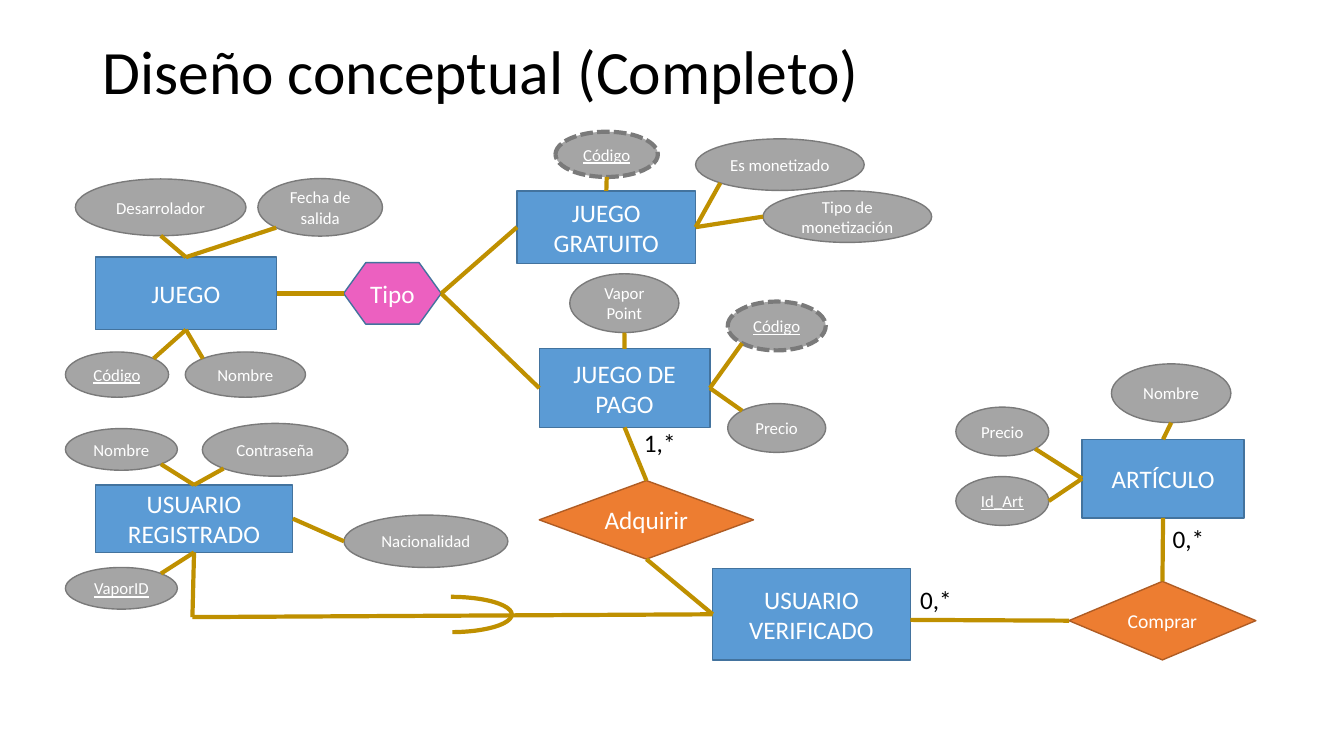
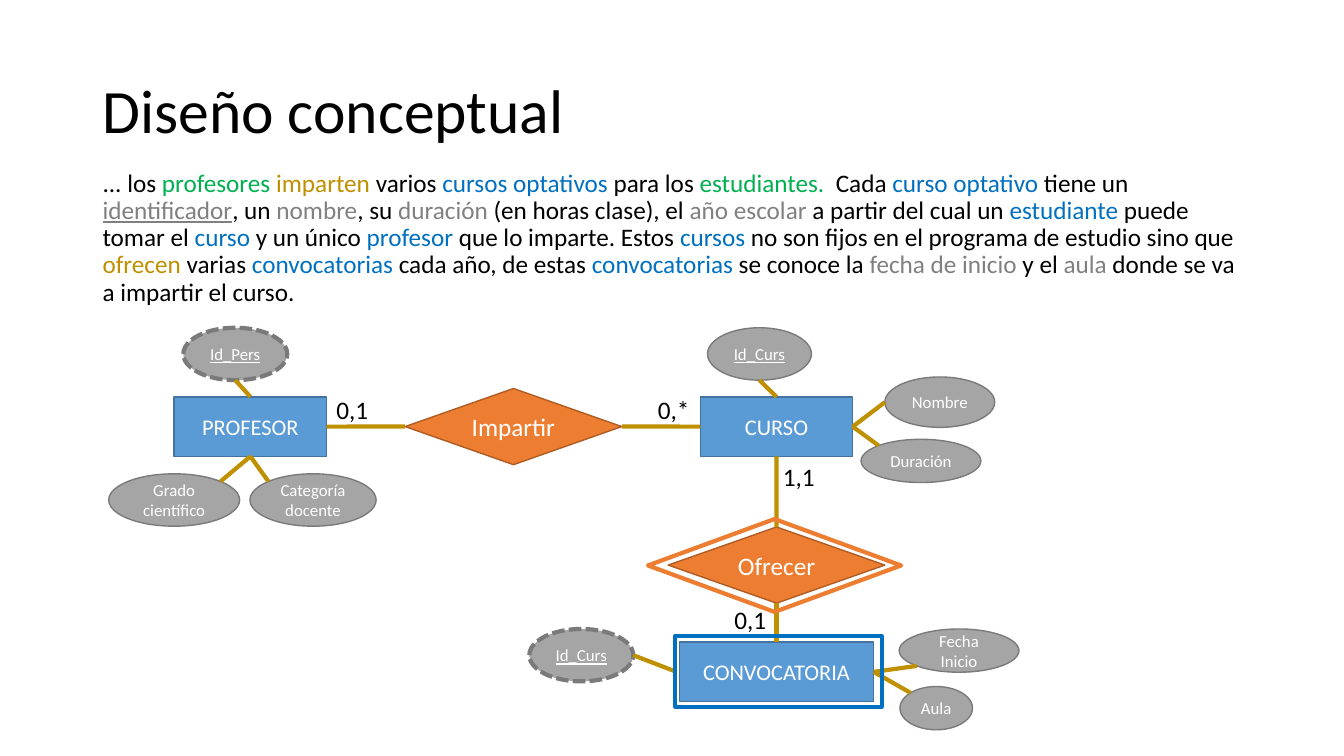
from collections import namedtuple

from lxml.etree import SubElement
from pptx import Presentation
from pptx.dml.color import RGBColor
from pptx.enum.dml import MSO_LINE
from pptx.enum.shapes import MSO_CONNECTOR, MSO_SHAPE
from pptx.enum.text import MSO_ANCHOR, MSO_AUTO_SIZE, PP_ALIGN
from pptx.oxml.ns import qn
from pptx.util import Cm, Pt

FONT = "Calibri"
BLACK, WHITE = "000000", "FFFFFF"
GREEN, GOLD, BLUE, GREY = "00B050", "BF9000", "0070C0", "808080"
ORANGE = "ED7D31"
LEFT, WIDTH = 2.33, 29.21

Style = namedtuple("Style", "preset fill line size underline dashed", defaults=(False, False))
ENTITY = Style(MSO_SHAPE.RECTANGLE, "5B9BD5", "43739E", 18)
RELATION = Style(MSO_SHAPE.DIAMOND, ORANGE, "AF5C24", 18)
ATTRIBUTE = Style(MSO_SHAPE.OVAL, "A5A5A5", "7A7A7A", 12)
KEY = ATTRIBUTE._replace(underline=True)
WEAK_KEY = KEY._replace(dashed=True)
CHOICE = Style(MSO_SHAPE.HEXAGON, "EC60C0", "43739E", 18)
SMALL_ENTITY = ENTITY._replace(size=16)
SMALL_RELATION = RELATION._replace(size=14)

NEAR, FAR = 0.1464, 0.8536
ANCHORS = {
    "top": (0.5, 0), "left": (0, 0.5), "bottom": (0.5, 1), "right": (1, 0.5),
    "topleft": (NEAR, NEAR), "bottomleft": (NEAR, FAR),
    "bottomright": (FAR, FAR), "topright": (FAR, NEAR),
}
FOUR_SITES = ["top", "left", "bottom", "right"]
SITES = {
    MSO_SHAPE.RECTANGLE: FOUR_SITES,
    MSO_SHAPE.DIAMOND: FOUR_SITES,
    MSO_SHAPE.OVAL: ["top", "topleft", "left", "bottomleft",
                     "bottom", "bottomright", "right", "topright"],
    MSO_SHAPE.HEXAGON: ["right", "bottomright", "bottomleft", "left", "topleft", "topright"],
}

GAME_NODES = {
    "juego": (ENTITY, "JUEGO", 2.4, 6.48, 4.57, 1.83),
    "juego_codigo": (KEY, "Código", 1.65, 8.87, 2.6, 1.14),
    "juego_nombre": (ATTRIBUTE, "Nombre", 4.67, 8.87, 3.03, 1.14),
    "desarrolador": (ATTRIBUTE, "Desarrolador", 1.9, 4.51, 4.3, 1.43),
    "fecha": (ATTRIBUTE, "Fecha de salida", 6.5, 4.5, 3.14, 1.45),
    "gratuito": (ENTITY, "JUEGO GRATUITO", 13.03, 4.81, 4.5, 1.83),
    "gratuito_codigo": (WEAK_KEY, "Código", 14, 3.32, 2.58, 1.14),
    "tipo": (CHOICE, "Tipo", 8.66, 6.62, 2.46, 1.55),
    "comprar": (SMALL_RELATION, "Comprar", 26.94, 14.65, 4.71, 1.98),
    "articulo": (ENTITY, "ARTÍCULO", 27.27, 11.07, 4.08, 1.98),
    "id_art": (KEY, "Id_Art", 24.09, 12.01, 2.34, 1.23),
    "articulo_precio": (ATTRIBUTE, "Precio", 24.09, 10.26, 2.34, 1.23),
    "articulo_nombre": (ATTRIBUTE, "Nombre", 28.01, 9.17, 3.01, 1.48),
    "monetizacion": (ATTRIBUTE, "Tipo de monetización", 19.23, 4.81, 4.25, 1.3),
    "monetizado": (ATTRIBUTE, "Es monetizado", 17.53, 3.5, 4.25, 1.3),
    "verificado": (ENTITY, "USUARIO VERIFICADO", 17.96, 14.33, 4.98, 2.3),
    "registrado": (ENTITY, "USUARIO REGISTRADO", 2.4, 12.22, 4.98, 1.7),
    "usuario_id": (KEY, "VaporID", 1.65, 14.3, 2.82, 1.05),
    "usuario_nombre": (ATTRIBUTE, "Nombre", 1.65, 10.8, 2.82, 1.05),
    "nacionalidad": (ATTRIBUTE, "Nacionalidad", 8.67, 12.98, 4.13, 1.32),
    "clave": (ATTRIBUTE, "Contraseña", 5.1, 10.67, 3.67, 1.33),
    "pago": (ENTITY, "JUEGO DE PAGO", 13.59, 8.79, 4.3, 1.98),
    "pago_codigo": (WEAK_KEY, "Código", 18.34, 7.6, 2.47, 1.23),
    "pago_precio": (ATTRIBUTE, "Precio", 18.34, 10.17, 2.47, 1.23),
    "puntos": (ATTRIBUTE, "Vapor Point", 14.36, 6.9, 2.75, 1.48),
    "adquirir": (RELATION, "Adquirir", 13.59, 12.11, 5.4, 1.98),
}
USER_CORNER = (4.85, 15.55)
GAME_LINKS = [
    ("juego right", "tipo left"),
    ("desarrolador bottom", "juego top"),
    ("juego top", "fecha bottomleft"),
    ("juego bottom", "juego_nombre topleft"),
    ("juego_codigo topright", "juego bottom"),
    ("gratuito_codigo bottom", "gratuito top"),
    ("tipo right", "gratuito left"),
    ("pago left", "tipo right"),
    ("articulo top", "articulo_nombre bottom"),
    ("articulo left", "id_art right"),
    ("articulo_precio bottomright", "articulo left"),
    ("articulo bottom", "comprar top"),
    ("comprar left", (22.94, 15.62)),
    ("monetizacion left", "gratuito right"),
    ("gratuito right", "monetizado bottomleft"),
    ("adquirir bottom", "verificado left"),
    ("nacionalidad left", "registrado right"),
    ("registrado top", "usuario_nombre bottomright"),
    ("usuario_id topright", "registrado bottom"),
    ("registrado top", "clave bottomleft"),
    (USER_CORNER, "registrado bottom"),
    (USER_CORNER, "verificado left"),
    ("pago top", "puntos bottom"),
    ("pago_precio topleft", "pago right"),
    ("pago right", "pago_codigo bottomleft"),
    ("pago bottom", "adquirir top"),
]
GAME_LABELS = [("0,*", 22.94, 14.61), ("0,*", 29.3, 13.06), ("1,*", 15.98, 10.64)]

COURSE_NODES = {
    "profesor": (SMALL_ENTITY, "PROFESOR", 4.39, 10, 3.84, 1.5),
    "categoria": (ATTRIBUTE, "Categoría docente", 6.3, 11.94, 3.18, 1.32),
    "grado": (ATTRIBUTE, "Grado científico", 2.74, 11.94, 3.3, 1.32),
    "id_pers": (WEAK_KEY, "Id_Pers", 4.62, 8.26, 2.62, 1.32),
    "impartir": (RELATION, "Impartir", 10.21, 9.79, 5.46, 1.92),
    "curso": (SMALL_ENTITY, "CURSO", 17.65, 10, 3.84, 1.5),
    "duracion": (ATTRIBUTE, "Duración", 21.7, 11.07, 3.02, 1.09),
    "nombre": (ATTRIBUTE, "Nombre", 22.3, 9.5, 2.77, 1.27),
    "id_curs": (KEY, "Id_Curs", 17.83, 8.26, 2.62, 1.32),
    "inicio": (ATTRIBUTE, "Fecha Inicio", 22.66, 15.85, 3.02, 1.09),
    "aula": (ATTRIBUTE, "Aula", 22.68, 17.3, 1.83, 1.09),
    "id_conv": (WEAK_KEY, "Id_Curs", 13.34, 15.85, 2.62, 1.32),
    "ofrecer": (RELATION, "Ofrecer", 16.84, 13.28, 5.46, 1.92),
    "convocatoria": (SMALL_ENTITY, "CONVOCATORIA", 17.12, 16.18, 4.9, 1.5),
}
COURSE_LINKS = [
    ("grado topright", "profesor bottom"),
    ("categoria topleft", "profesor bottom"),
    ("id_pers bottom", "profesor top"),
    ("impartir left", "profesor right"),
    ("nombre left", "curso right"),
    ("duracion topleft", "curso right"),
    ("id_curs bottom", "curso top"),
    ("impartir right", "curso left"),
    ("aula topleft", "convocatoria right"),
    ("convocatoria right", "inicio bottomleft"),
    ((17.02, 16.92), "id_conv right"),
    ("curso bottom", "ofrecer top"),
    ("convocatoria top", "ofrecer bottom"),
]
COURSE_LABELS = [("0,1", 8.23, 9.8), ("0,*", 16.33, 9.8),
                 ("0,1", 18.26, 15.11), ("1,1", 19.48, 11.51)]
COURSE_TEXT = [
    ("... los ", BLACK), ("profesores ", GREEN), ("imparten ", GOLD), ("varios ", BLACK),
    ("cursos optativos", BLUE), (" para los ", BLACK), ("estudiantes. ", GREEN),
    (" Cada ", BLACK), ("curso optativo", BLUE), (" tiene un ", BLACK),
    ("identificador", GREY, True), (", un ", BLACK), ("nombre", GREY), (", su ", BLACK),
    ("duración ", GREY), ("(en horas clase), el ", BLACK), ("año escolar", GREY),
    (" a partir del cual un ", BLACK), ("estudiante ", BLUE), ("puede tomar el ", BLACK),
    ("curso ", BLUE), ("y un único ", BLACK), ("profesor ", BLUE),
    ("que lo imparte. Estos ", BLACK), ("cursos ", BLUE),
    ("no son fijos en el programa de estudio sino que ", BLACK), ("ofrecen ", GOLD),
    ("varias ", BLACK), ("convocatorias", BLUE), (" cada año, de estas ", BLACK),
    ("convocatorias ", BLUE), ("se conoce la ", BLACK), ("fecha de inicio", GREY),
    (" y el ", BLACK), ("aula ", GREY), ("donde se va a impartir el curso.", BLACK),
]


def colour(value):
    return RGBColor.from_string(value)


def add_span(para, text, size, ink, underline=False):
    span = para.add_run()
    span.text = text
    span.font.name = FONT
    span.font.size = Pt(size)
    span.font.color.rgb = colour(ink)
    if underline:
        span.font.underline = True


def place(box, left, top, width, height):
    box.left, box.top, box.width, box.height = map(Cm, (left, top, width, height))


def fill_placeholder(box, top, height, anchor, size, spans):
    place(box, LEFT, top, WIDTH, height)
    frame = box.text_frame
    frame.auto_size = MSO_AUTO_SIZE.NONE
    frame.vertical_anchor = anchor
    para = frame.paragraphs[0]
    para.alignment = PP_ALIGN.LEFT
    para.line_spacing = 0.9
    for text, *look in spans:
        add_span(para, text, size, *look)
    return para


def add_page(deck, layout, title, top, height):
    page = deck.slides.add_slide(deck.slide_layouts[layout])
    fill_placeholder(page.shapes.title, top, height, MSO_ANCHOR.MIDDLE, 44, [(title, BLACK)])
    return page


def add_body(page, spans):
    para = fill_placeholder(page.placeholders[1], 4.17, 4.09, MSO_ANCHOR.TOP, 18, spans)
    para.space_before = Pt(10)
    settings = para._p.get_or_add_pPr()
    settings.set("marL", "0")
    settings.set("indent", "0")
    SubElement(settings, qn("a:buNone"))


def add_outline(page, preset, left, top, width, height, ink, weight=3):
    shape = page.shapes.add_shape(preset, *map(Cm, (left, top, width, height)))
    shape.shadow.inherit = False
    shape.fill.background()
    shape.line.color.rgb = colour(ink)
    shape.line.width = Pt(weight)
    return shape


def add_node(page, style, text, left, top, width, height):
    shape = add_outline(page, style.preset, left, top, width, height,
                        style.line, 3 if style.dashed else 1)
    shape.fill.solid()
    shape.fill.fore_color.rgb = colour(style.fill)
    if style.dashed:
        shape.line.dash_style = MSO_LINE.SQUARE_DOT
    if style.preset == MSO_SHAPE.HEXAGON:
        shape.adjustments[0] = 0.36
    frame = shape.text_frame
    frame.word_wrap = " " in text
    frame.vertical_anchor = MSO_ANCHOR.MIDDLE
    para = frame.paragraphs[0]
    para.alignment = PP_ALIGN.CENTER
    add_span(para, text, style.size, WHITE, style.underline)
    return shape


def locate(shapes, end):
    if isinstance(end, tuple):
        return [Cm(value) for value in end], None
    name, side = end.split()
    shape = shapes[name]
    across, down = ANCHORS[side]
    point = [int(shape.left + across * shape.width), int(shape.top + down * shape.height)]
    return point, (shape.shape_id, SITES[shape.auto_shape_type].index(side))


def add_link(page, shapes, start, finish):
    (begin, begin_site), (end, end_site) = locate(shapes, start), locate(shapes, finish)
    link = page.shapes.add_connector(MSO_CONNECTOR.STRAIGHT, *begin, *end)
    link.line.color.rgb = colour(GOLD)
    link.line.width = Pt(3)
    SubElement(link._element.spPr, qn("a:effectLst"))
    joints = link._element.find(".//" + qn("p:cNvCxnSpPr"))
    for tag, site in (("a:stCxn", begin_site), ("a:endCxn", end_site)):
        if site:
            SubElement(joints, qn(tag), id=str(site[0]), idx=str(site[1]))


def add_label(page, text, left, top):
    box = page.shapes.add_textbox(*map(Cm, (left, top, 1.31, 1.03)))
    box.text_frame.word_wrap = False
    add_span(box.text_frame.paragraphs[0], text, 18, BLACK)


def add_diagram(page, nodes, links, labels):
    shapes = {name: add_node(page, *node) for name, node in nodes.items()}
    for start, finish in links:
        add_link(page, shapes, start, finish)
    for label in labels:
        add_label(page, *label)


def main():
    deck = Presentation()
    deck.slide_width, deck.slide_height = Cm(33.87), Cm(19.05)

    page = add_page(deck, 5, "Diseño conceptual (Completo)", 0.36, 3.02)
    add_diagram(page, GAME_NODES, GAME_LINKS, GAME_LABELS)
    arc = add_outline(page, MSO_SHAPE.ARC, 9.83, 15.04, 3.07, 0.89, GOLD)
    arc.adjustments[0] = 162
    arc.adjustments[1] = 51.13

    page = add_page(deck, 1, "Diseño conceptual", 1.02, 3.68)
    add_body(page, COURSE_TEXT)
    add_diagram(page, COURSE_NODES, COURSE_LINKS, COURSE_LABELS)
    add_outline(page, MSO_SHAPE.RECTANGLE, 17.02, 16.03, 5.2, 1.78, BLUE)
    add_outline(page, MSO_SHAPE.DIAMOND, 16.33, 13.08, 6.38, 2.34, ORANGE)

    deck.save("out.pptx")


if __name__ == "__main__":
    main()
